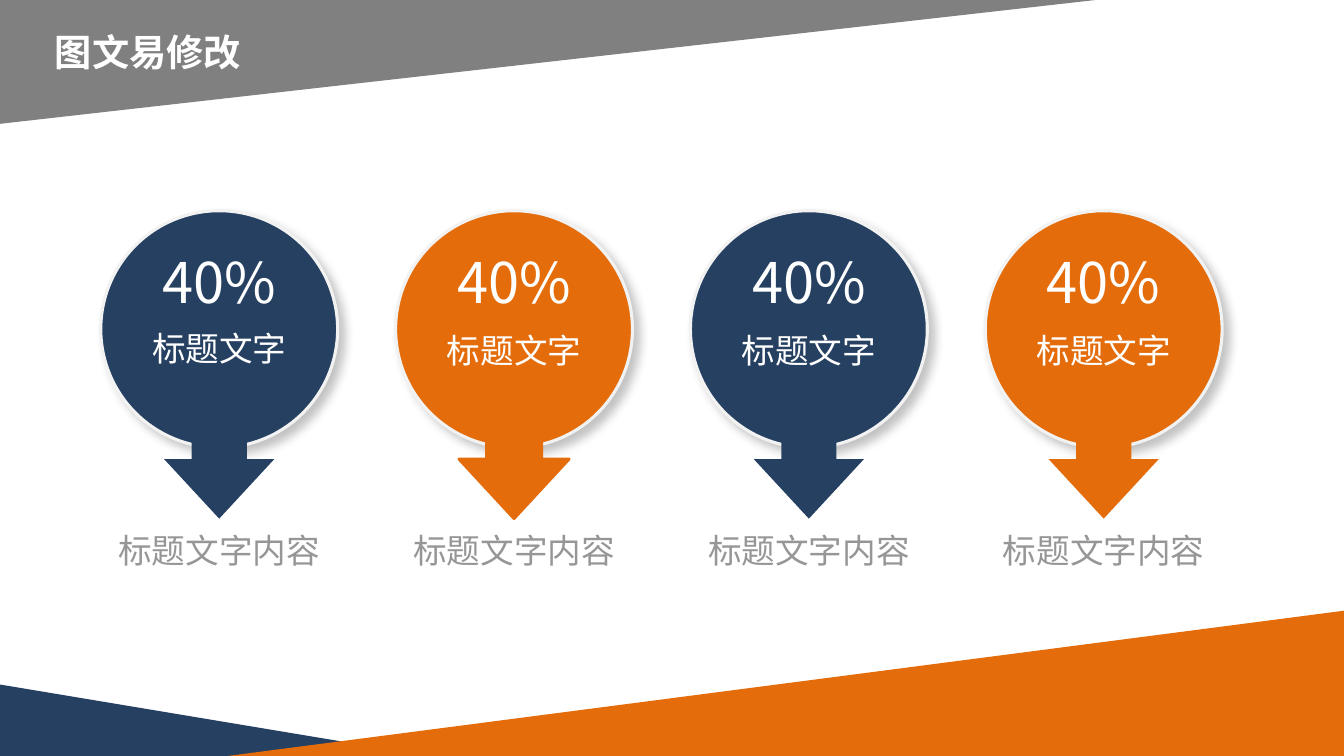
"""Build a slide with four percentage pins between slanted colour bands."""
from lxml import etree
from pptx import Presentation
from pptx.dml.color import RGBColor
from pptx.enum.shapes import MSO_SHAPE
from pptx.enum.text import MSO_ANCHOR, PP_ALIGN
from pptx.oxml import parse_xml
from pptx.oxml.ns import nsdecls, qn
from pptx.util import Cm, Pt

TRIANGLE = MSO_SHAPE.RIGHT_TRIANGLE
ELLIPSE = MSO_SHAPE.OVAL
DOWN_ARROW = MSO_SHAPE.DOWN_ARROW
CENTER = PP_ALIGN.CENTER
TOP = MSO_ANCHOR.TOP

NAVY = RGBColor(0x25, 0x40, 0x61)
ORANGE = RGBColor(0xE4, 0x6C, 0x0A)
GRAY = RGBColor(0x80, 0x80, 0x80)
CAPTION_GRAY = RGBColor(0x96, 0x96, 0x96)
RIM = RGBColor(0xF2, 0xF2, 0xF2)
WHITE = RGBColor(0xFF, 0xFF, 0xFF)
FONT = "Noto Sans CJK SC"

PIN_LEFT, PIN_PITCH, PIN_SIZE = 2.54, 7.43, 5.97
ARROW_WIDTH = 2.78
SHADOW = (
    f'<a:outerShdw {nsdecls("a")} blurRad="{Pt(7)}" dist="{Pt(5.9)}" dir="2700000" '
    'algn="tl" rotWithShape="0"><a:srgbClr val="000000"><a:alpha val="23000"/>'
    '</a:srgbClr></a:outerShdw>'
)


def add_filled(shapes, kind, left, top, width, height, color):
    shape = shapes.add_shape(kind, Cm(left), Cm(top), Cm(width), Cm(height))
    shape.shadow.inherit = False
    shape.fill.solid()
    shape.fill.fore_color.rgb = color
    shape.line.fill.background()
    return shape


def add_text(shapes, text, left, top, width, height, size, color):
    box = shapes.add_textbox(Cm(left), Cm(top), Cm(width), Cm(height))
    frame = box.text_frame
    frame.word_wrap = True
    frame.vertical_anchor = TOP
    paragraph = frame.paragraphs[0]
    paragraph.text = text
    paragraph.alignment = CENTER
    font = paragraph.font
    font.name = FONT
    font.size = Pt(size)
    font.color.rgb = color
    east_asian = etree.SubElement(font._element, qn("a:ea"))
    east_asian.set("typeface", FONT)
    return frame


presentation = Presentation()
presentation.slide_width = Cm(33.87)
presentation.slide_height = Cm(19.05)
slide = presentation.slides.add_slide(presentation.slide_layouts[6])

bands = [
    (0, 17.25, 10.8, 1.8, NAVY, False, 0),
    (5.74, 15.39, 28.13, 3.66, ORANGE, True, 0),
    (0, 0, 27.61, 3.12, GRAY, True, 180),
]
for left, top, width, height, color, flipped, rotation in bands:
    band = add_filled(slide.shapes, TRIANGLE, left, top, width, height, color)
    band.rotation = rotation
    if flipped:
        band._element.spPr.find(qn("a:xfrm")).set("flipH", "1")

pins = [
    (NAVY, 8.15, False),
    (ORANGE, 8.2, True),
    (NAVY, 8.2, False),
    (ORANGE, 8.2, False),
]
for index, (color, label_top, outlined) in enumerate(pins):
    left = PIN_LEFT + index * PIN_PITCH
    pin = slide.shapes.add_group_shape().shapes

    circle = add_filled(pin, ELLIPSE, left, 5.31, PIN_SIZE, PIN_SIZE, color)
    circle.line.color.rgb = RIM
    circle.line.width = Pt(2.25)
    circle._element.spPr.find(qn("a:effectLst")).append(parse_xml(SHADOW))

    arrow_left = left + (PIN_SIZE - ARROW_WIDTH) / 2
    arrow = add_filled(pin, DOWN_ARROW, arrow_left, 9.5, ARROW_WIDTH, 3.57, color)
    arrow.adjustments[0] = 0.5
    arrow.adjustments[1] = 0.54
    if outlined:
        arrow.line.color.rgb = color
        arrow.line.width = Pt(2)

    add_text(pin, "40%", left, 6.12, PIN_SIZE, 1.96, 40, WHITE)
    add_text(pin, "标题文字", left, label_top, PIN_SIZE, 1.27, 24, WHITE)
    add_text(pin, "标题文字内容", left, 13.23, PIN_SIZE, 1.27, 24, CAPTION_GRAY)

title = add_text(slide.shapes, "图文易修改", 0, 0.74, 7.47, 1.14, 26.6, WHITE)
title.margin_left = title.margin_right = title.margin_top = title.margin_bottom = 0
title.paragraphs[0].font.bold = True

presentation.save("out.pptx")
